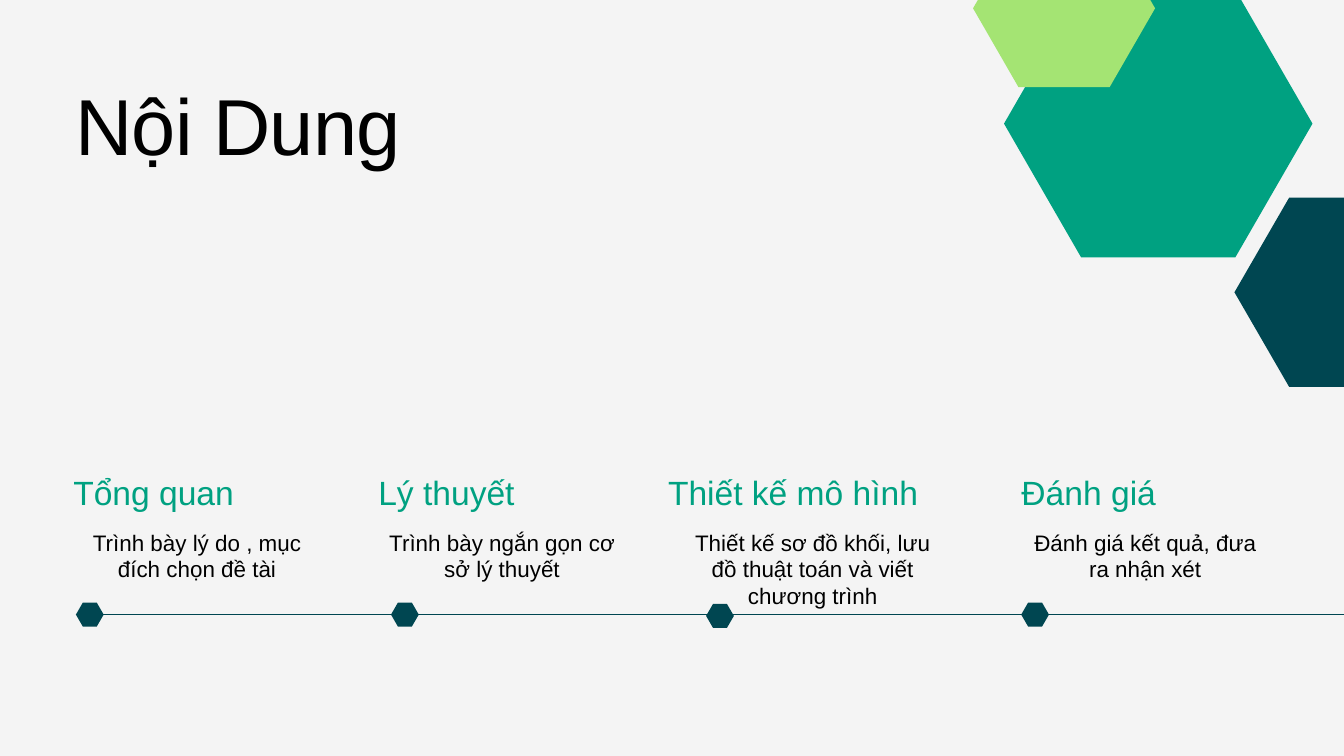
"""Build the contents slide: a title, a four-step timeline and corner hexagons."""
from lxml import etree
from pptx import Presentation
from pptx.dml.color import RGBColor
from pptx.enum.shapes import MSO_CONNECTOR, MSO_SHAPE
from pptx.enum.text import PP_ALIGN
from pptx.oxml.ns import qn
from pptx.util import Cm, Pt

STRAIGHT = MSO_CONNECTOR.STRAIGHT
HEXAGON = MSO_SHAPE.HEXAGON
LEFT, CENTER = PP_ALIGN.LEFT, PP_ALIGN.CENTER
color = RGBColor.from_string
NAVY, GREEN, LIME, BLACK = "004651", "00A181", "A4E473", "000000"

deck = Presentation()
deck.slide_width, deck.slide_height = Cm(50.8), Cm(28.58)
page = deck.slides.add_slide(deck.slide_layouts[6])
page.background.fill.solid()
page.background.fill.fore_color.rgb = color("F4F4F4")


def add_text(text, left, top, width, height, size, spacing, tint, align=LEFT):
    box = page.shapes.add_textbox(Cm(left), Cm(top), Cm(width), Cm(height))
    frame = box.text_frame
    frame.word_wrap = True
    frame.margin_left = frame.margin_right = frame.margin_top = frame.margin_bottom = 0
    para = frame.paragraphs[0]
    para.alignment = align
    para.line_spacing = Pt(spacing)
    span = para.add_run()
    span.text = text
    span.font.name = "Arial"
    span.font.size = Pt(size)
    span.font.color.rgb = color(tint)
    return span


def add_hexagon(left, top, width, height, tint):
    hexagon = page.shapes.add_shape(HEXAGON, Cm(left), Cm(top), Cm(width), Cm(height))
    hexagon.adjustments[0] = width / 4 / height
    hexagon.shadow.inherit = False
    hexagon.fill.solid()
    hexagon.fill.fore_color.rgb = color(tint)
    hexagon.line.fill.background()


timeline = page.shapes.add_connector(STRAIGHT, Cm(3.53), Cm(23.24), Cm(50.8), Cm(23.24))
timeline.line.color.rgb = color(NAVY)
timeline.line.width = Pt(1.5)
etree.SubElement(timeline._element.spPr, qn("a:effectLst"))

title = add_text("Nội Dung", 2.84, 2.9, 25.5, 3.45, 85, 102, BLACK)
title.font._element.set("spc", "-80")

# heading, detail, heading left, detail left, detail height, marker top
steps = [
    ("Tổng quan", "Trình bày lý do , mục đích chọn đề tài", 2.77, 2.77, 2.01, 22.78),
    ("Lý thuyết", "Trình bày ngắn gọn cơ sở lý thuyết", 14.3, 14.3, 2.01, 22.78),
    ("Thiết kế mô hình", "Thiết kế sơ đồ khối, lưu đồ thuật toán và viết chương trình",
     25.25, 26.04, 3, 22.83),
    ("Đánh giá", "Đánh giá kết quả, đưa ra nhận xét", 38.61, 38.61, 2.01, 22.78),
]
for index, (heading, detail, heading_left, detail_left, height, marker_top) in enumerate(steps):
    add_text(heading, heading_left, 17.83, 10.13, 1.52, 36, 43.2, GREEN)
    add_text(detail, detail_left, 20.04, 9.35, height, 24, 28, BLACK, CENTER)
    add_hexagon(2.87 + index * 11.91, marker_top, 1.05, 0.91, NAVY)

add_hexagon(46.66, 7.47, 8.28, 7.16, NAVY)
add_hexagon(37.95, -0.38, 11.66, 10.11, GREEN)
add_hexagon(36.78, -2.67, 6.88, 5.97, LIME)

deck.save("out.pptx")
